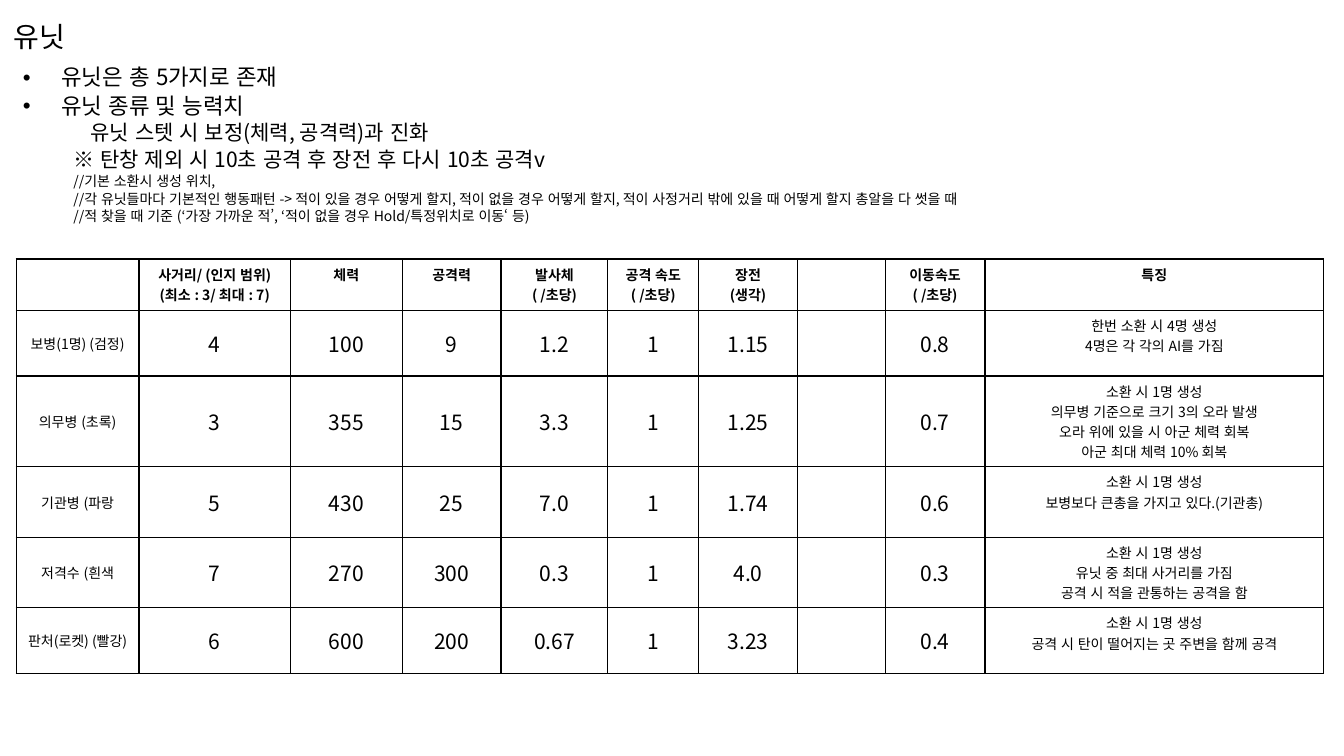
"""Build the unit overview slide with its stat table."""
from lxml.etree import SubElement
from pptx import Presentation
from pptx.dml.color import RGBColor
from pptx.enum.lang import MSO_LANGUAGE_ID as Language
from pptx.enum.text import MSO_ANCHOR as Anchor, PP_ALIGN as Align
from pptx.oxml.ns import qn
from pptx.util import Inches, Pt

TITLE = "유닛"
BULLET, PLAIN = (0.38, -0.38), (0.5, 0)
NOTES = [
    ("유닛은 총 5가지로 존재", 16, BULLET),
    ("유닛 종류 및 능력치", 16, BULLET),
    ("유닛 스텟 시 보정(체력, 공격력)과 진화", 15, (0.67, 0)),
    ("※ 탄창 제외 시 10초 공격 후 장전 후 다시 10초 공격v", 15, PLAIN),
    ("//기본 소환시 생성 위치,", 10, PLAIN),
    ("//각 유닛들마다 기본적인 행동패턴 -> 적이 있을 경우 어떻게 할지, "
     "적이 없을 경우 어떻게 할지, 적이 사정거리 밖에 있을 때 어떻게 할지 "
     "총알을 다 썻을 때", 10, PLAIN),
    ("//적 찾을 때 기준 (‘가장 가까운 적’, ‘적이 없을 경우 "
     "Hold/특정위치로 이동‘ 등)", 10, PLAIN),
]
HEADER = ["", "사거리/ (인지 범위)\n(최소 : 3/ 최대 : 7)", "체력", "공격력",
          "발사체\n( /초당)", "공격 속도\n( /초당)", "장전\n(생각)", "",
          "이동속도\n( /초당)", "특징"]
UNITS = [
    ["보병(1명) (검정)", "4", "100", "9", "1.2", "1", "1.15", "", "0.8",
     "한번 소환 시 4명 생성\n4명은 각 각의 AI를 가짐"],
    ["의무병 (초록)", "3", "355", "15", "3.3", "1", "1.25", "", "0.7",
     "소환 시 1명 생성\n의무병 기준으로 크기 3의 오라 발생\n"
     "오라 위에 있을 시 아군 체력 회복\n아군 최대 체력 10% 회복"],
    ["기관병 (파랑", "5", "430", "25", "7.0", "1", "1.74", "", "0.6",
     "소환 시 1명 생성\n보병보다 큰총을 가지고 있다.(기관총)"],
    ["저격수 (흰색", "7", "270", "300", "0.3", "1", "4.0", "", "0.3",
     "소환 시 1명 생성\n유닛 중 최대 사거리를 가짐\n공격 시 적을 관통하는 공격을 함"],
    ["판처(로켓) (빨강)", "6", "600", "200", "0.67", "1", "3.23", "", "0.4",
     "소환 시 1명 생성\n공격 시 탄이 떨어지는 곳 주변을 함께 공격"],
]
COLUMN_WIDTHS = [1.22, 1.5, 1.11, 0.98, 1.06, 0.9, 0.98, 0.87, 0.99, 3.36]
ROW_HEIGHTS = [0.51, 0.65, 0.9, 0.7, 0.7, 0.65]
FONT = "Noto Sans CJK KR"
BLACK = RGBColor(0, 0, 0)
WHITE = RGBColor(255, 255, 255)


def style(paragraph, size, bold=False):
    for run in paragraph.runs:
        run.font.size = Pt(size)
        run.font.bold = bold
        run.font.color.rgb = BLACK
        run.font.name = FONT
        run.font.language_id = Language.KOREAN
        SubElement(run.font._element, qn("a:ea"), typeface=FONT)


def add_text(slide, left, top, width, height):
    frame = slide.shapes.add_textbox(*map(Inches, (left, top, width, height))).text_frame
    frame.word_wrap = True
    return frame


def add_title(slide):
    frame = add_text(slide, 0.04, 0.05, 1.75, 0.62)
    frame.vertical_anchor = Anchor.MIDDLE
    frame.text = TITLE
    style(frame.paragraphs[0], 20)


def add_notes(slide):
    frame = add_text(slide, 0.13, 0.6, 12, 5.77)
    frame.text = "\n".join(text for text, _, _ in NOTES)
    for paragraph, (_, size, indent) in zip(frame.paragraphs, NOTES):
        paragraph.line_spacing = 0.95
        paragraph.space_before = Pt(round(size * 0.12, 1))
        properties = paragraph._p.get_or_add_pPr()
        for name, length in zip(("marL", "indent"), indent):
            properties.set(name, str(Inches(length)))
        if indent == BULLET:
            SubElement(properties, qn("a:buFont"), typeface="Arial")
            SubElement(properties, qn("a:buChar"), char="•")
        style(paragraph, size)


def add_borders(cell):
    properties = cell._tc.get_or_add_tcPr()
    for side in ("lnL", "lnR", "lnT", "lnB"):
        line = SubElement(properties, qn(f"a:{side}"), w=str(Pt(1)))
        fill = SubElement(line, qn("a:solidFill"))
        SubElement(fill, qn("a:srgbClr"), val=str(BLACK))


def add_stats(slide):
    rows = [HEADER] + UNITS
    table = slide.shapes.add_table(
        len(rows), len(HEADER), Inches(0.16), Inches(2.57),
        Inches(sum(COLUMN_WIDTHS)), Inches(sum(ROW_HEIGHTS))).table
    table.first_row = table.horz_banding = False
    for column, width in zip(table.columns, COLUMN_WIDTHS):
        column.width = Inches(width)
    for row, height in zip(table.rows, ROW_HEIGHTS):
        row.height = Inches(height)
    last = len(HEADER) - 1
    for r, texts in enumerate(rows):
        for c, text in enumerate(texts):
            cell = table.cell(r, c)
            add_borders(cell)
            cell.fill.solid()
            cell.fill.fore_color.rgb = WHITE
            cell.text = text
            if r > 0 and c < last:
                cell.vertical_anchor = Anchor.MIDDLE
            size = 15 if r > 0 and 0 < c < last else 10
            for paragraph in cell.text_frame.paragraphs:
                paragraph.alignment = Align.CENTER
                style(paragraph, size, bold=r == 0)


def main():
    deck = Presentation()
    deck.slide_width, deck.slide_height = Inches(13.33), Inches(7.5)
    slide = deck.slides.add_slide(deck.slide_layouts[6])
    add_title(slide)
    add_notes(slide)
    add_stats(slide)
    deck.save("out.pptx")


if __name__ == "__main__":
    main()
